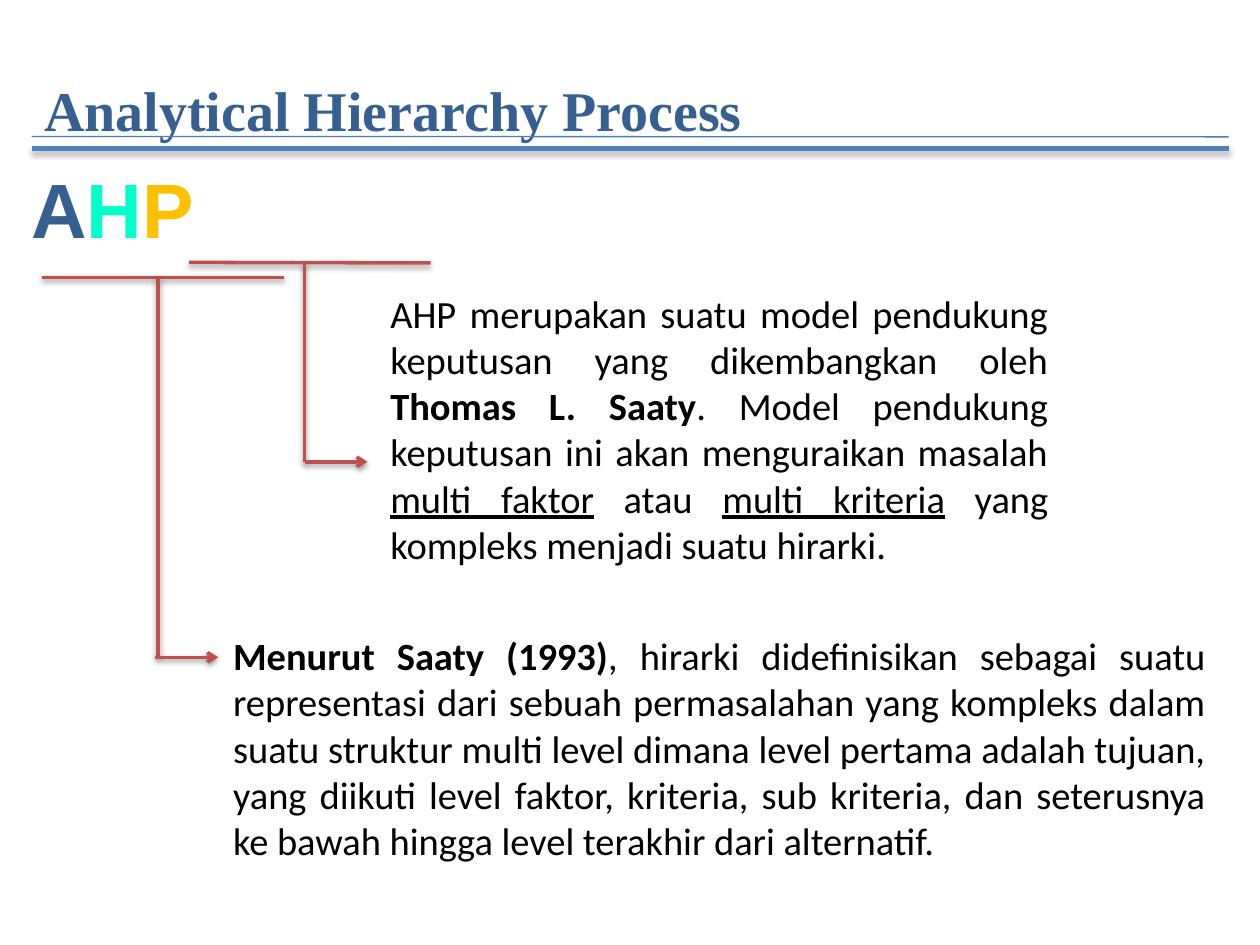
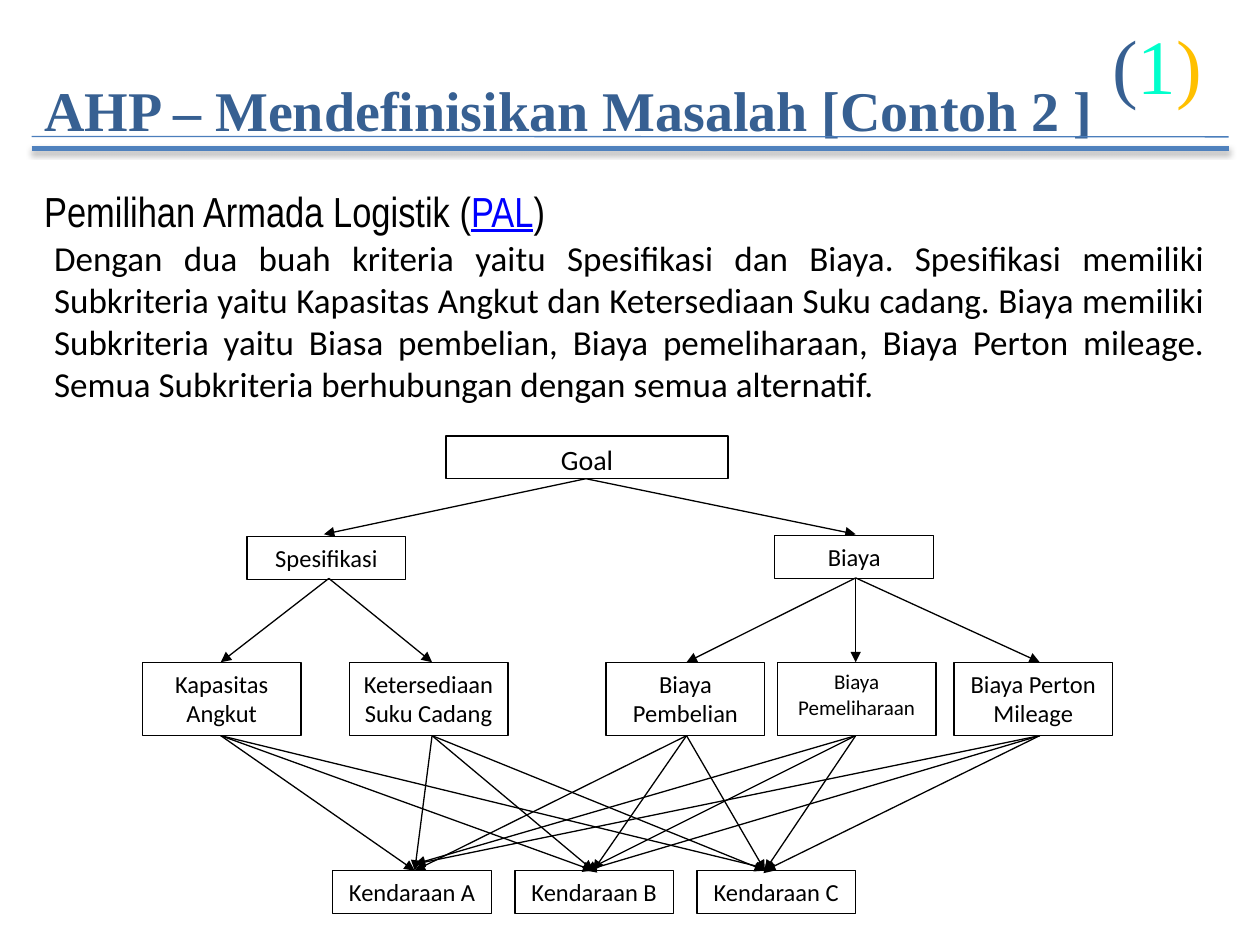
from lxml.etree import SubElement
from pptx import Presentation
from pptx.dml.color import RGBColor
from pptx.enum.shapes import MSO_CONNECTOR, MSO_SHAPE
from pptx.enum.text import MSO_ANCHOR, MSO_AUTO_SIZE, PP_ALIGN
from pptx.oxml.ns import qn
from pptx.util import Cm, Pt

BLACK = "000000"
WHITE = "FFFFFF"
NAVY = "376092"
AQUA = "00FFCC"
GOLD = "FFC000"
RED = "C0504D"
LINK_BLUE = "0000FF"
RULE_THIN = "4B7EBC"
RULE_THICK = "4F81BD"
LETTER_COLORS = (NAVY, AQUA, GOLD)

BOX_WIDTH = 3.2
BOX_HEIGHT = 0.86
SUBCRITERIA_HEIGHT = 1.47
SUBCRITERIA_TOP = 13.36
ALTERNATIVE_TOP = 17.55
ALTERNATIVE_LEFT = 6.71
ALTERNATIVE_STEP = 3.67


def color(hex_value):
    return RGBColor.from_string(hex_value)


def format_font(font, name, size, color_hex=BLACK, bold=False, underline=False):
    font.name = name
    font.size = Pt(size)
    font.color.rgb = color(color_hex)
    font.bold = bold
    font.underline = underline


def add_text(slide, left, top, width, height, parts, name, size,
             align=PP_ALIGN.LEFT, anchor=MSO_ANCHOR.TOP):
    """Each part is a pair: text and its font options."""
    text_box = slide.shapes.add_textbox(Cm(left), Cm(top), Cm(width), Cm(height))
    text_frame = text_box.text_frame
    text_frame.word_wrap = True
    text_frame.vertical_anchor = anchor
    if anchor == MSO_ANCHOR.TOP:
        text_frame.auto_size = MSO_AUTO_SIZE.SHAPE_TO_FIT_TEXT
    paragraph = text_frame.paragraphs[0]
    paragraph.alignment = align
    for text, options in parts:
        run = paragraph.add_run()
        run.text = text
        format_font(run.font, name, size, **options)


def add_body(slide, left, top, width, height, parts, size, name="Calibri"):
    add_text(slide, left, top, width, height, parts, name, size, PP_ALIGN.JUSTIFY)


def add_letters(slide, left, top, width, letters, name, bold):
    parts = [(letter, {"color_hex": color_hex, "bold": bold})
             for letter, color_hex in zip(letters, LETTER_COLORS)]
    add_text(slide, left, top, width, 2.33, parts, name, 44, anchor=MSO_ANCHOR.MIDDLE)


def add_line(slide, start, end, color_hex=BLACK, width=0.75, arrow=None, shadow_alpha=None):
    line = slide.shapes.add_connector(
        MSO_CONNECTOR.STRAIGHT, Cm(start[0]), Cm(start[1]), Cm(end[0]), Cm(end[1]))
    line.line.color.rgb = color(color_hex)
    line.line.width = Pt(width)
    properties = line.element.spPr
    if arrow:
        SubElement(properties.find(qn("a:ln")), qn("a:tailEnd"), type=arrow)
    effects = SubElement(properties, qn("a:effectLst"))
    if shadow_alpha:
        shadow = SubElement(effects, qn("a:outerShdw"), blurRad="40000", dist="21500",
                            dir="5400000", rotWithShape="0")
        shadow_color = SubElement(shadow, qn("a:srgbClr"), val=BLACK)
        SubElement(shadow_color, qn("a:alpha"), val=str(shadow_alpha * 1000))


def add_callout_line(slide, start, end, arrow=None):
    add_line(slide, start, end, RED, 2, arrow, 38)


def add_arrows(slide, start, ends):
    for end in ends:
        add_line(slide, start, end, arrow="triangle")


def add_box(slide, text, left, top, width=BOX_WIDTH, height=BOX_HEIGHT, size=14):
    shape = slide.shapes.add_shape(
        MSO_SHAPE.RECTANGLE, Cm(left), Cm(top), Cm(width), Cm(height))
    shape.shadow.inherit = False
    shape.fill.solid()
    shape.fill.fore_color.rgb = color(WHITE)
    shape.line.color.rgb = color(BLACK)
    shape.line.width = Pt(0.75)
    text_frame = shape.text_frame
    text_frame.word_wrap = True
    text_frame.vertical_anchor = MSO_ANCHOR.TOP
    text_frame.text = text
    paragraph = text_frame.paragraphs[0]
    paragraph.alignment = PP_ALIGN.CENTER
    paragraph.space_after = Pt(10)
    format_font(paragraph.runs[0].font, "Calibri", size)


def add_titled_slide(presentation, title):
    slide = presentation.slides.add_slide(presentation.slide_layouts[6])
    add_text(slide, 0.64, 1.04, 24.13, 2.33, [(title, {"color_hex": NAVY, "bold": True})],
             "Times New Roman", 32, anchor=MSO_ANCHOR.MIDDLE)
    add_line(slide, (0.64, 2.75), (24.77, 2.76), RULE_THIN)
    add_line(slide, (0.64, 3), (24.77, 3), RULE_THICK, 3, shadow_alpha=35)
    return slide


def add_definition_slide(presentation):
    slide = add_titled_slide(presentation, "Analytical Hierarchy Process")
    add_letters(slide, 0.38, 3.03, 12.27, "AHP", "Arial", True)

    add_callout_line(slide, (3.81, 5.29), (8.68, 5.3))
    add_callout_line(slide, (6.14, 5.29), (6.14, 9.31))
    add_callout_line(slide, (6.14, 9.31), (7.41, 9.31), "arrow")
    add_callout_line(slide, (0.85, 5.59), (5.72, 5.59))
    add_callout_line(slide, (3.18, 5.59), (3.18, 13.22))
    add_callout_line(slide, (3.13, 13.25), (4.4, 13.25), "arrow")

    add_body(slide, 7.62, 5.72, 13.76, 5.9, [
        ("AHP merupakan suatu model pendukung keputusan yang dikembangkan oleh ", {}),
        ("Thomas L. Saaty", {"bold": True}),
        (". Model pendukung keputusan ini akan menguraikan masalah ", {}),
        ("multi faktor", {"underline": True}),
        (" atau ", {}),
        ("multi kriteria", {"underline": True}),
        (" yang kompleks menjadi suatu hirarki.", {}),
    ], 22)
    add_body(slide, 4.45, 12.62, 20.11, 4.95, [
        ("Menurut Saaty (1993)", {"bold": True}),
        (", hirarki didefinisikan sebagai suatu representasi dari sebuah permasalahan yang "
         "kompleks dalam suatu struktur multi level dimana level pertama adalah tujuan, yang "
         "diikuti level faktor, kriteria, sub kriteria, dan seterusnya ke bawah hingga level "
         "terakhir dari alternatif.", {}),
    ], 22)


def add_hierarchy(slide):
    add_box(slide, "Goal", 8.99, 8.79, width=5.69, size=16)
    add_arrows(slide, (11.81, 9.65), [(6.53, 10.77), (17.25, 10.77)])

    add_box(slide, "Spesifikasi", 4.98, 10.82)
    add_box(slide, "Biaya", 15.62, 10.8)
    add_arrows(slide, (6.63, 11.66), [(x, 13.35) for x in (4.45, 8.71)])
    add_arrows(slide, (17.25, 11.65), [(x, 13.35) for x in (13.84, 17.25, 20.96)])

    for index, letter in enumerate("ABC"):
        add_box(slide, f"Kendaraan {letter}",
                ALTERNATIVE_LEFT + index * ALTERNATIVE_STEP, ALTERNATIVE_TOP)

    target_a, target_b, target_c = [(x, ALTERNATIVE_TOP) for x in (8.36, 11.96, 15.42)]
    raised_a, left_b, right_c = (8.36, 17.42), (11.81, 17.55), (15.62, 17.55)
    subcriteria = [
        ("Kapasitas Angkut", 2.87, 14, 4.45, (target_a, target_b, right_c)),
        ("Ketersediaan Suku Cadang", 7.04, 14, 8.71, (target_a, target_b, target_c)),
        ("Biaya Pembelian", 12.22, 14, 13.84, (target_a, target_b, target_c)),
        ("Biaya Pemeliharaan", 15.67, 12, 17.25, (raised_a, left_b, target_c)),
        ("Biaya Perton Mileage", 19.23, 14, 20.96, (raised_a, left_b, target_c)),
    ]
    for text, left, size, arrow_x, targets in subcriteria:
        add_box(slide, text, left, SUBCRITERIA_TOP, height=SUBCRITERIA_HEIGHT, size=size)
        add_arrows(slide, (arrow_x, SUBCRITERIA_TOP + SUBCRITERIA_HEIGHT), targets)


def add_example_slide(presentation):
    slide = add_titled_slide(presentation, "AHP – Mendefinisikan Masalah [Contoh 2 ]")
    add_body(slide, 0.64, 3.61, 24.13, 1.27, [
        ("Pemilihan Armada Logistik (", {}),
        ("PAL", {"color_hex": LINK_BLUE, "underline": True}),
        (")", {}),
    ], 24, "Arial Narrow")
    add_body(slide, 0.84, 4.65, 23.7, 3.68, [
        ("Dengan dua buah kriteria yaitu Spesifikasi dan Biaya. Spesifikasi memiliki "
         "Subkriteria yaitu Kapasitas Angkut dan Ketersediaan Suku cadang. Biaya memiliki "
         "Subkriteria yaitu Biasa pembelian, Biaya pemeliharaan, Biaya Perton mileage. "
         "Semua Subkriteria berhubungan dengan semua alternatif.", {}),
    ], 20)
    add_hierarchy(slide)
    add_letters(slide, 22.17, 0.13, 2.54, "(1)", "Times New Roman", False)


def main():
    presentation = Presentation()
    presentation.slide_width = Cm(25.4)
    presentation.slide_height = Cm(19.05)
    add_definition_slide(presentation)
    add_example_slide(presentation)
    presentation.save("out.pptx")


if __name__ == "__main__":
    main()
